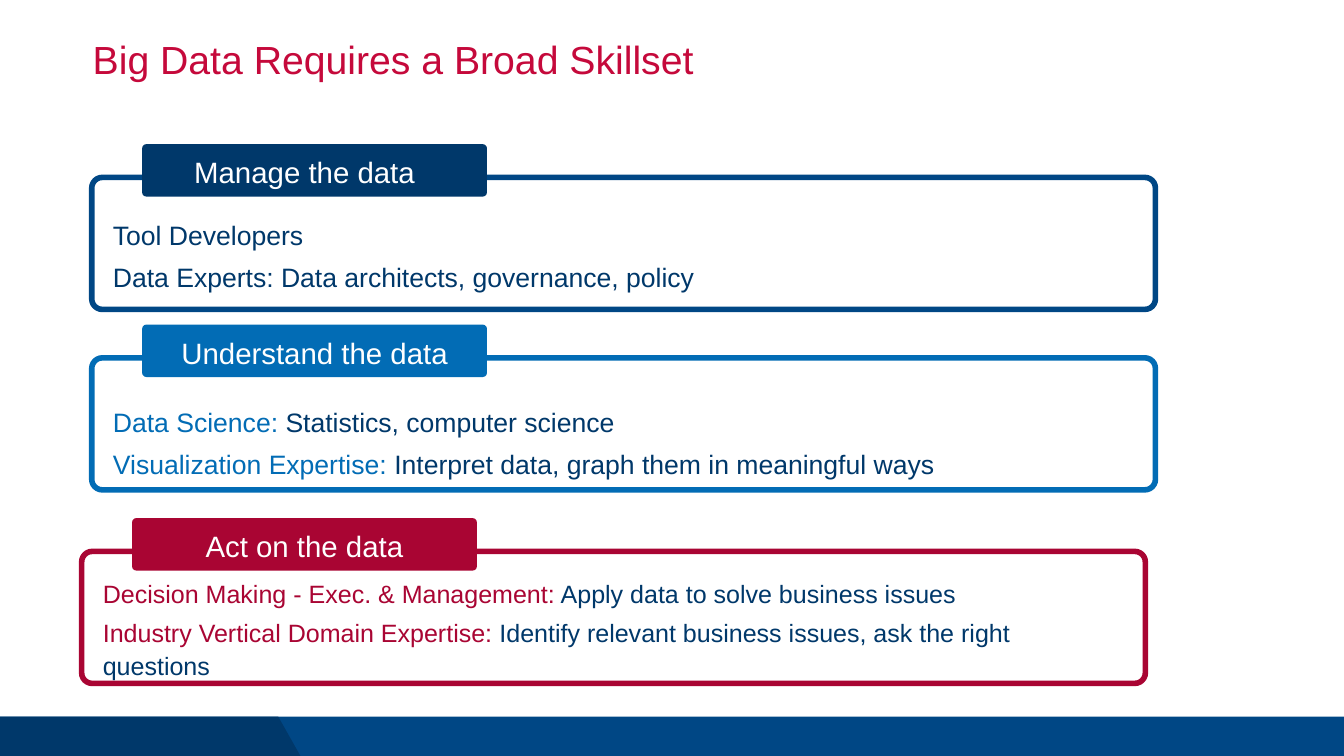
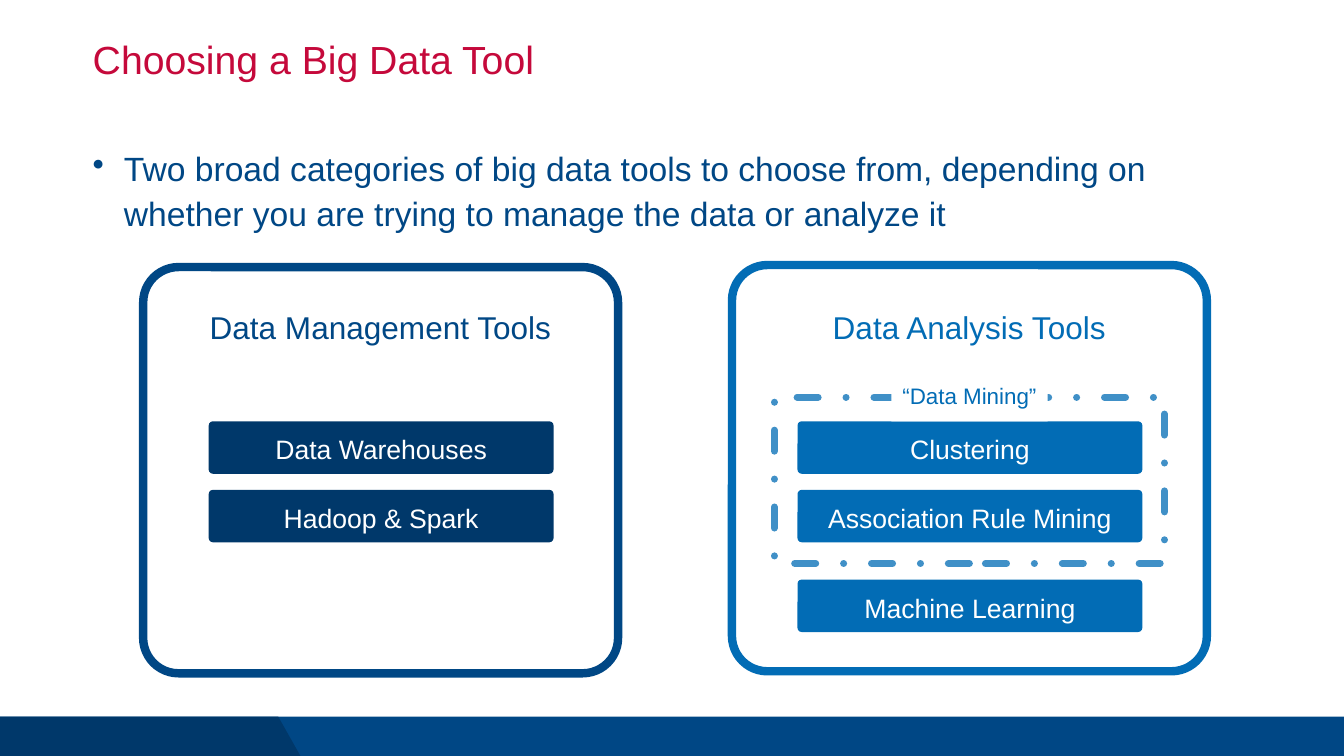
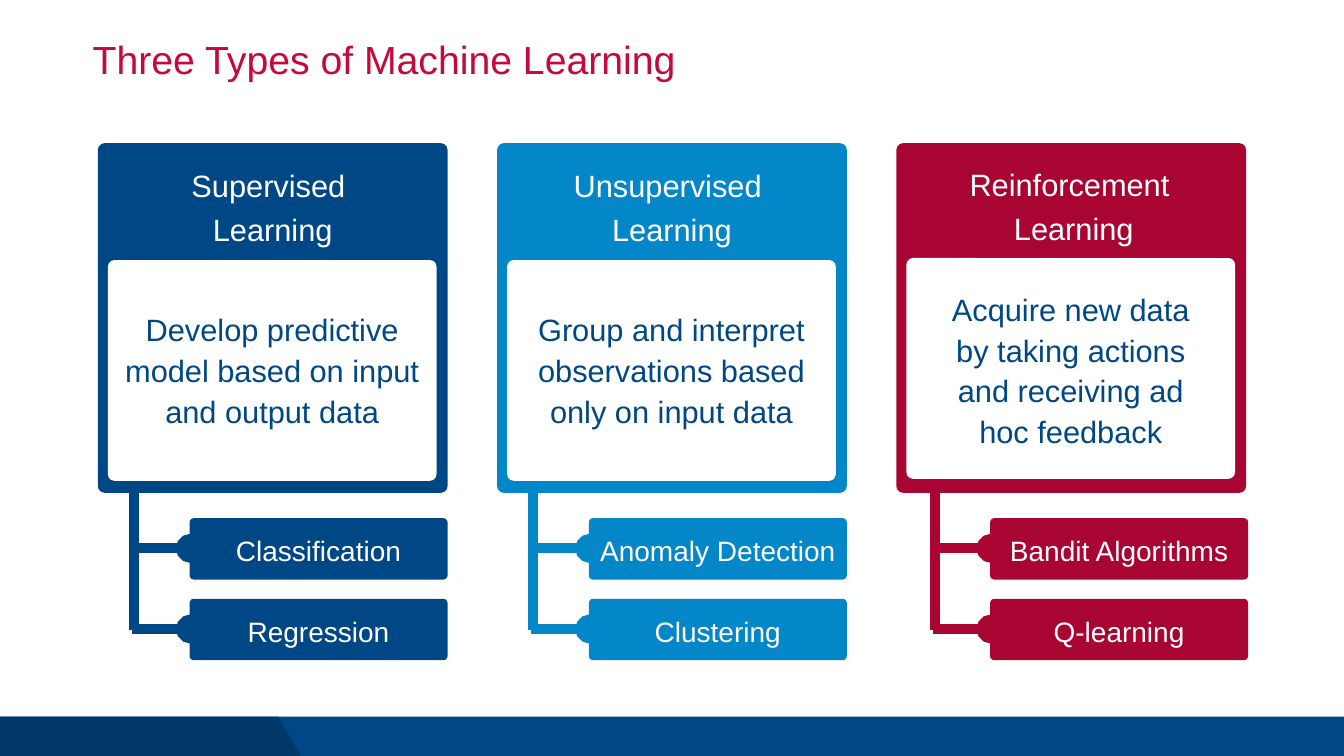
import pptx
import pptx.dml.color
import pptx.enum.dml
import pptx.enum.shapes
import pptx.enum.text
import pptx.oxml
import pptx.oxml.ns
import pptx.util

PX = 9144
WIDTH, HEIGHT = 1333, 750
FONT = "Arial"
WHITE, NAVY, DARK = "FFFFFF", "004785", "00386A"
BLUE, SKY, DASH_BLUE = "026CB5", "0487C8", "4090C7"
RED, TITLE_RED = "A90533", "C5093B"

BAND_TOP = 711
BAND_WEDGE = [(276, BAND_TOP), (298, HEIGHT), (0, HEIGHT)]

SKILLS = [
    dict(label="Manage the data", left=91, top=176, frame=NAVY, tab=DARK,
         label_shift=-10, drop=21, size=19, gap=5, lines=[
             [("Tool Developers", DARK)],
             [("Data Experts: Data architects, governance, policy", DARK)]]),
    dict(label="Understand the data", left=91, top=355, frame=BLUE, tab=BLUE,
         label_shift=0, drop=35, size=19, gap=5, lines=[
             [("Data Science:", BLUE), (" Statistics, computer science", DARK)],
             [("Visualization Expertise:", BLUE),
              (" Interpret data, graph them in meaningful ways", DARK)]]),
    dict(label="Act on the data", left=81, top=547, frame=RED, tab=RED,
         label_shift=0, drop=21, size=17.9, gap=4.5, lines=[
             [("Decision Making - Exec. & Management:", RED),
              (" Apply data to solve business issues", DARK)],
             [("Industry Vertical Domain Expertise:", RED),
              (" Identify relevant business issues, ask the right questions", DARK)]]),
]

TOOL_INTRO = ("Two broad categories of big data tools to choose from, depending on "
              "whether you are trying to manage the data or analyze it")
TOOL_PANELS = [
    dict(heading="Data Management Tools", left=142, top=265, color=NAVY, fill=DARK,
         tools=[("Data Warehouses", 418), ("Hadoop & Spark", 486)]),
    dict(heading="Data Analysis Tools", left=726, top=263, color=BLUE, fill=BLUE,
         tools=[("Clustering", 418), ("Association Rule Mining", 486),
                ("Machine Learning", 575)]),
]
MINING_LABEL = "“Data Mining”"

CARDS = [
    dict(heading=["Supervised ", "Learning"], color=NAVY, branch=188,
         heading_insets=(0, 18, 0, 0), panel_top=258, panel_insets=(6, 0, 6, 4),
         body="Develop predictive model based on input and output data",
         methods=["Classification", "Regression"]),
    dict(heading=["Unsupervised ", "Learning"], color=SKY, branch=584,
         heading_insets=(0, 18, 0, 0), panel_top=258, panel_insets=(14, 0, 14, 4),
         body="Group and interpret observations based only on input data",
         methods=["Anomaly Detection", "Clustering"]),
    dict(heading=["Reinforcement ", "Learning"], color=RED, branch=982,
         heading_insets=(5, 17, 0, 0), panel_top=256, panel_insets=(40, 0, 40, 0),
         body="Acquire new data by taking actions and receiving ad hoc feedback",
         methods=["Bandit Algorithms", "Q-learning"]),
]


def px(value):
    return pptx.util.Emu(round(value * PX))


def rgb(color):
    return pptx.dml.color.RGBColor.from_string(color)


def add_xml(parent, markup):
    namespace = pptx.oxml.ns.nsdecls("a")
    parent.append(pptx.oxml.parse_xml(markup.replace("/>", f" {namespace}/>", 1)
                                      if markup.count("<") == 1 else
                                      markup.replace(">", f" {namespace}>", 1)))


def paint(shape, fill=None, line=None, weight=1):
    shape.shadow.inherit = False
    if fill:
        shape.fill.solid()
        shape.fill.fore_color.rgb = rgb(fill)
    else:
        shape.fill.background()
    if line:
        shape.line.color.rgb = rgb(line)
        shape.line.width = pptx.util.Pt(weight)
    else:
        shape.line.fill.background()


def add_box(slide, box, fill=None, line=None, weight=1, radius=None):
    kinds = pptx.enum.shapes.MSO_SHAPE
    kind = kinds.ROUNDED_RECTANGLE if radius else kinds.RECTANGLE
    shape = slide.shapes.add_shape(kind, *map(px, box))
    if radius:
        shape.adjustments[0] = radius
    paint(shape, fill, line, weight)
    return shape


def write(shape, paragraphs, size, color=WHITE, align="CENTER", anchor="MIDDLE",
          insets=(0, 0, 0, 0), spacing=1.1, gap=0):
    frame = shape.text_frame
    frame.word_wrap = True
    frame.vertical_anchor = getattr(pptx.enum.text.MSO_ANCHOR, anchor)
    (frame.margin_left, frame.margin_top,
     frame.margin_right, frame.margin_bottom) = map(px, insets)
    for index, content in enumerate(paragraphs):
        paragraph = frame.add_paragraph() if index else frame.paragraphs[0]
        paragraph.alignment = getattr(pptx.enum.text.PP_ALIGN, align)
        paragraph.line_spacing = spacing
        if index:
            paragraph.space_before = pptx.util.Pt(gap)
        pieces = [(content, color)] if isinstance(content, str) else content
        for text, run_color in pieces:
            run = paragraph.add_run()
            run.text = text
            run.font.name = FONT
            run.font.size = pptx.util.Pt(size)
            run.font.color.rgb = rgb(run_color)


def add_line(slide, start, end, color, oval=False):
    line = slide.shapes.add_connector(pptx.enum.shapes.MSO_CONNECTOR.STRAIGHT,
                                      *map(px, start + end))
    line.line.color.rgb = rgb(color)
    line.line.width = pptx.util.Pt(7)
    properties = line.element.spPr
    if oval:
        add_xml(properties.find(pptx.oxml.ns.qn("a:ln")), '<a:headEnd type="oval"/>')
    add_xml(properties, "<a:effectLst/>")


def add_slide(presentation, title):
    slide = presentation.slides.add_slide(presentation.slide_layouts[6])
    add_box(slide, (0, BAND_TOP, WIDTH, HEIGHT - BAND_TOP), NAVY)
    builder = slide.shapes.build_freeform(0, BAND_TOP, scale=PX)
    builder.add_line_segments(BAND_WEDGE)
    paint(builder.convert_to_shape(), DARK)
    title_box = slide.shapes.add_textbox(*map(px, (92, 40, 1150, 53)))
    write(title_box, [title], 28, TITLE_RED, "LEFT", "TOP", spacing=0.9)
    return slide


def build_skillset(presentation):
    slide = add_slide(presentation, "Big Data Requires a Broad Skillset")
    for skill in SKILLS:
        left, top = skill["left"], skill["top"]
        frame = add_box(slide, (left, top, 1055, 131), None, skill["frame"], 4, 0.08)
        write(frame, skill["lines"], skill["size"], align="LEFT",
              insets=(18, skill["drop"], 18, 0), gap=skill["gap"])
        tab = add_box(slide, (left + 50, top - 33, 342, 52), skill["tab"], radius=0.08)
        write(tab, [skill["label"]], 21, insets=(0, 0, -2 * skill["label_shift"], 0))


def build_tools(presentation):
    slide = add_slide(presentation, "Choosing a Big Data Tool")
    intro = slide.shapes.add_textbox(*map(px, (92, 143, 1150, 135)))
    properties = intro.text_frame.paragraphs[0]._p.get_or_add_pPr()
    properties.set("marL", str(px(31)))
    properties.set("indent", str(px(-31)))
    add_xml(properties, f'<a:buClr><a:srgbClr val="{NAVY}"/></a:buClr>')
    add_xml(properties, '<a:buChar char="•"/>')
    write(intro, [TOOL_INTRO], 24, NAVY, "LEFT", "TOP")

    for panel in TOOL_PANELS:
        left, top = panel["left"], panel["top"]
        frame = add_box(slide, (left, top, 471, 403), None, panel["color"], 6, 0.087)
        write(frame, [panel["heading"]], 22.5, panel["color"], anchor="TOP",
              insets=(0, 292 - top, 0, 0))
        for name, tool_top in panel["tools"]:
            pill = add_box(slide, (left + 65, tool_top, 342, 52), panel["fill"], radius=0.08)
            write(pill, [name], 19)

    mining = add_box(slide, (768, 394, 387, 165), None, DASH_BLUE, 5)
    mining.line.dash_style = pptx.enum.dml.MSO_LINE.DASH_DOT
    mining.element.spPr.find(pptx.oxml.ns.qn("a:ln")).set("cap", "rnd")
    label = add_box(slide, (884, 365, 155, 53), WHITE)
    write(label, [MINING_LABEL], 16, BLUE)


def build_learning(presentation):
    slide = add_slide(presentation, "Three Types of Machine Learning")
    for index, card in enumerate(CARDS):
        left, color, branch = 97 + 396 * index, card["color"], card["branch"]
        trunk = branch - 55
        add_line(slide, (trunk, 625), (trunk, 488), color)
        base = add_box(slide, (left, 142, 347, 347), color, radius=0.02)
        write(base, card["heading"], 22, anchor="TOP",
              insets=card["heading_insets"], gap=2)
        panel = add_box(slide, (left + 10, card["panel_top"], 326, 219), WHITE, radius=0.03)
        write(panel, [card["body"]], 22, NAVY, insets=card["panel_insets"])
        for row, method in enumerate(card["methods"]):
            top = 514 + 80 * row
            add_line(slide, (branch + 1, top + 30), (trunk - 2, top + 30), color, True)
            pill = add_box(slide, (branch, top, 256, 61), color, radius=0.07)
            write(pill, [method], 20)


def main():
    presentation = pptx.Presentation()
    presentation.slide_width, presentation.slide_height = px(WIDTH), px(HEIGHT)
    for build in (build_skillset, build_tools, build_learning):
        build(presentation)
    presentation.save("out.pptx")


if __name__ == "__main__":
    main()
